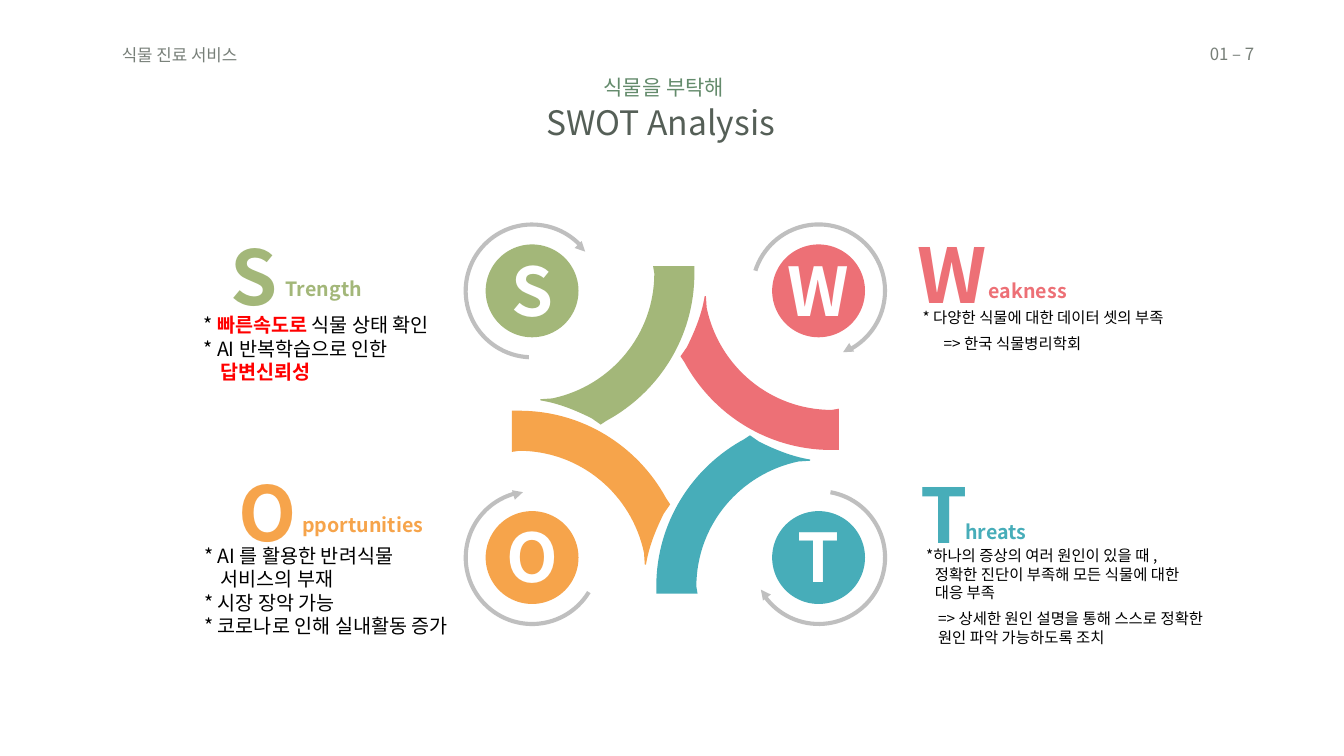
"""Build the SWOT analysis slide of the plant care service."""
import dataclasses
import math

import lxml.etree
import pptx
import pptx.dml.color
import pptx.enum.shapes
import pptx.enum.text
import pptx.oxml.ns
import pptx.util

Cm = pptx.util.Cm
RGBColor = pptx.dml.color.RGBColor
SHAPE = pptx.enum.shapes.MSO_SHAPE
ALIGN = pptx.enum.text.PP_ALIGN
ANCHOR = pptx.enum.text.MSO_ANCHOR
qn = pptx.oxml.ns.qn

FONT = "Noto Sans CJK KR"
GREEN = RGBColor(0xA3, 0xB7, 0x79)
PINK = RGBColor(0xED, 0x70, 0x76)
ORANGE = RGBColor(0xF6, 0xA4, 0x4B)
TEAL = RGBColor(0x47, 0xAD, 0xB9)
RING_GREY = RGBColor(0xBF, 0xBF, 0xBF)
SLATE = RGBColor(0x55, 0x5F, 0x57)
LEAF = RGBColor(0x64, 0x8B, 0x6C)
RED = RGBColor(0xFF, 0x00, 0x00)
BLACK = RGBColor(0x00, 0x00, 0x00)
WHITE = RGBColor(0xFF, 0xFF, 0xFF)

BADGE, RING, ARROW, ARROW_RADIUS = 2.34, 3.45, 0.25, 1.65
LETTER_WIDTH, LETTER_HEIGHT = 2.39, 2.31
BLADE_START = (0.9, -1.98)
BLADE_STEPS = (
    ((1.94, -1.98),),
    ((1.94, -1.8),),
    ((1.94, -0.2), (1.05, 1.19), (-0.27, 1.91)),
    ((-0.42, 2.01),),
    ((-0.65, 1.85),),
    ((-1.05, 1.65), (-1.49, 1.47), (-1.94, 1.4)),
    ((-1.94, 1.37),),
    ((-1.64, 1.35),),
    ((-0.17, 1.04), (0.93, -0.25), (0.93, -1.8)),
)


@dataclasses.dataclass(frozen=True)
class Line:
    lead: str = ""
    strong: str = ""
    tail: str = ""
    indent: float = 0


@dataclasses.dataclass(frozen=True)
class Note:
    left: float
    top: float
    width: float
    height: float
    size: int
    lines: tuple[Line, ...]


@dataclasses.dataclass(frozen=True)
class Quadrant:
    letter: str
    rest: str
    color: RGBColor
    badge: tuple[float, float]
    blade: tuple[float, float]
    quarter_turns: int
    ring_turn: float
    initial: tuple[float, float, float]
    rest_at: tuple[float, float, float]
    notes: tuple[Note, ...]


QUADRANTS = (
    Quadrant("S", "Trength", GREEN, (13.41, 7.33), (15.56, 8.69), 0, 310.2,
             (5.02, 5.66, 2.77), (6.95, 6.85, 5.16), (
                 Note(4.88, 7.77, 6.86, 2.06, 14, (
                     Line("* ", "빠른속도로", " 식물 상태 확인"),
                     Line("* AI 반복학습으로 인한"),
                     Line(strong="답변신뢰성", indent=0.43))),)),
    Quadrant("W", "eakness", PINK, (20.63, 7.33), (19.16, 9.4), 1, 55.1,
             (22.65, 5.63, 2.69), (24.67, 6.91, 3.71), (
                 Note(23, 7.65, 7.24, 0.74, 11, (
                     Line("* 다양한 식물에 대한 데이터 셋의 부족"),)),
                 Note(23.53, 8.29, 7.24, 0.74, 11, (
                     Line("=> 한국 식물병리학회"),)))),
    Quadrant("O", "pportunities", ORANGE, (13.41, 14.05), (14.88, 12.29), 3, 248.8,
             (5.11, 11.61, 3.28), (7.37, 12.8, 6.1), (
                 Note(4.9, 13.57, 8.08, 3.25, 14, (
                     Line("* AI 를 활용한 반려식물"),
                     Line("서비스의 부재", indent=0.41),
                     Line("* 시장 장악 가능"),
                     Line("* 코로나로 인해 실내활동 증가"))),)),
    Quadrant("T", "hreats", TEAL, (20.63, 14.05), (18.48, 12.98), 2, 137.7,
             (22.45, 11.66, 2.69), (24.08, 12.98, 5.03), (
                 Note(23.09, 13.64, 7.85, 1.68, 11, (
                     Line("*하나의 증상의 여러 원인이 있을 때 ,"),
                     Line("정확한 진단이 부족해 모든 식물에 대한", indent=0.22),
                     Line("대응 부족", indent=0.22))),
                 Note(23.39, 15.23, 7.24, 1.19, 11, (
                     Line("=> 상세한 원인 설명을 통해 스스로 정확한 원인 파악 가능하도록 조치"),)))),
)


def write(frame, lines: str | tuple[Line, ...], *, size: int, color: RGBColor,
          bold: bool = False, align=ALIGN.LEFT, anchor=ANCHOR.TOP,
          alpha: int = 100) -> None:
    """Fill a text frame with formatted lines."""
    frame.word_wrap = True
    frame.vertical_anchor = anchor
    for index, line in enumerate((Line(lines),) if isinstance(lines, str) else lines):
        paragraph = frame.paragraphs[0] if index == 0 else frame.add_paragraph()
        paragraph.alignment = align
        if line.indent:
            paragraph._p.get_or_add_pPr().set("marL", str(Cm(line.indent)))
        for text, strong in ((line.lead, False), (line.strong, True), (line.tail, False)):
            if not text:
                continue
            run = paragraph.add_run()
            run.text = text
            run.font.name = FONT
            run.font.size = pptx.util.Pt(size)
            run.font.bold = bold or strong
            run.font.color.rgb = RED if strong else color
            properties = run.font._element
            properties.find(qn("a:latin")).addnext(
                properties.makeelement(qn("a:ea"), {"typeface": FONT}))
            if alpha < 100:
                tint = properties.find(qn("a:solidFill"))[0]
                lxml.etree.SubElement(tint, qn("a:alpha"), val=str(alpha * 1000))


def add_text(slide, left: float, top: float, width: float, height: float,
             lines: str | tuple[Line, ...], **style) -> None:
    """Add a text box with formatted lines."""
    box = slide.shapes.add_textbox(Cm(left), Cm(top), Cm(width), Cm(height))
    write(box.text_frame, lines, **style)


def paint(shape, color: RGBColor) -> None:
    """Give a shape a flat fill without line or shadow."""
    shape.shadow.inherit = False
    shape.fill.solid()
    shape.fill.fore_color.rgb = color
    shape.line.fill.background()


def add_centred(slide, kind, x: float, y: float, size: float, color: RGBColor,
                turn: float = 0):
    """Add a square preset shape around a centre point."""
    shape = slide.shapes.add_shape(kind, Cm(x - size / 2), Cm(y - size / 2),
                                   Cm(size), Cm(size))
    shape.rotation = turn
    paint(shape, color)
    return shape


def add_blade(slide, quadrant: Quadrant) -> None:
    """Draw the blade turned clockwise by quarter turns, with true curves."""
    points = [BLADE_START, *(point for step in BLADE_STEPS for point in step)]
    for _ in range(quadrant.quarter_turns):
        points = [(-y, x) for x, y in points]
    placed = [(Cm(quadrant.blade[0] + x), Cm(quadrant.blade[1] + y)) for x, y in points]
    builder = slide.shapes.build_freeform(*placed[0])
    builder.add_line_segments(placed[1:], close=True)
    blade = builder.convert_to_shape()
    segments = iter(list(blade._element.iter(qn("a:lnTo"))))
    for step in BLADE_STEPS:
        first, *others = [next(segments) for _ in step]
        if others:
            first.tag = qn("a:cubicBezTo")
            for segment in others:
                first.append(segment[0])
                segment.getparent().remove(segment)
    paint(blade, quadrant.color)


def add_quadrant(slide, quadrant: Quadrant) -> None:
    """Draw one quadrant with its blade, badge, ring, heading and notes."""
    add_blade(slide, quadrant)
    x, y = quadrant.badge
    add_centred(slide, SHAPE.OVAL, x, y, BADGE, quadrant.color)
    ring = add_centred(slide, SHAPE.BLOCK_ARC, x, y, RING, RING_GREY, quadrant.ring_turn)
    for index, value in enumerate((85.52, 3.26, 0.03)):
        ring.adjustments[index] = value
    angle = math.radians(quadrant.ring_turn + 8.9)
    add_centred(slide, SHAPE.ISOSCELES_TRIANGLE, x + ARROW_RADIUS * math.cos(angle),
                y + ARROW_RADIUS * math.sin(angle), ARROW, RING_GREY,
                (quadrant.ring_turn + 184.9) % 360)
    heading = {"color": quadrant.color, "bold": True}
    add_text(slide, x - LETTER_WIDTH / 2, y - LETTER_HEIGHT / 2 - 0.04, LETTER_WIDTH,
             LETTER_HEIGHT, quadrant.letter, size=48, color=WHITE, bold=True,
             align=ALIGN.CENTER, anchor=ANCHOR.MIDDLE)
    add_text(slide, *quadrant.rest_at, 0.86, quadrant.rest, size=14, **heading)
    add_text(slide, *quadrant.initial, 2.57, quadrant.letter, size=54,
             align=ALIGN.CENTER, **heading)
    for note in quadrant.notes:
        add_text(slide, note.left, note.top, note.width, note.height, note.lines,
                 size=note.size, color=BLACK)


def main() -> None:
    """Build and save the slide."""
    deck = pptx.Presentation()
    deck.slide_width, deck.slide_height = Cm(33.87), Cm(19.05)
    slide = deck.slides.add_slide(deck.slide_layouts.get_by_name("Title Only"))
    title = slide.shapes.title
    title.left, title.top, title.width, title.height = Cm(13.52), Cm(2.44), Cm(6.63), Cm(1.27)
    write(title.text_frame, "SWOT Analysis", size=24, color=SLATE)
    add_text(slide, 14.96, 1.75, 3.73, 0.89, "식물을 부탁해", size=15, color=LEAF)
    add_text(slide, 2.82, 1, 6.38, 0.76, "식물 진료 서비스", size=12, color=SLATE, alpha=80)
    add_text(slide, 30.24, 0.97, 3.5, 0.76, "01 – 7", size=12, color=SLATE, alpha=80)
    for quadrant in QUADRANTS:
        add_quadrant(slide, quadrant)
    deck.save("out.pptx")


if __name__ == "__main__":
    main()
